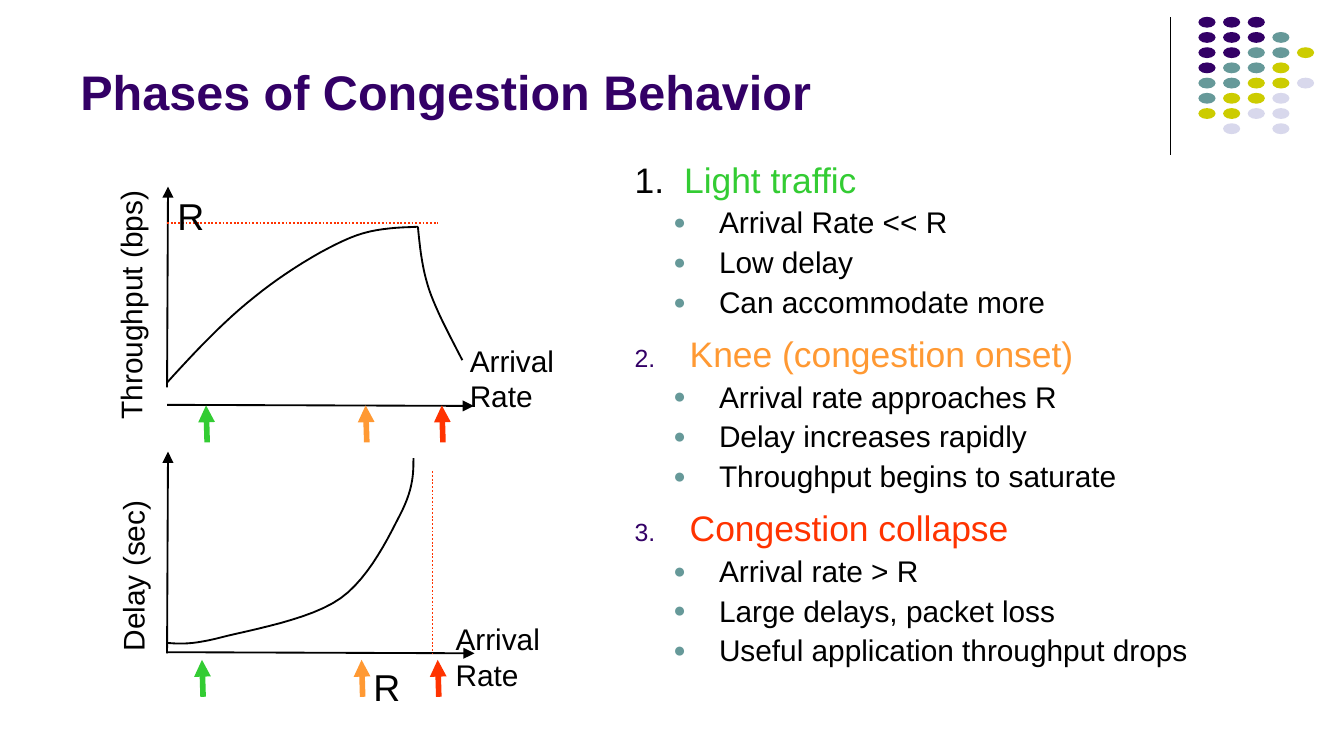
from lxml import etree
from pptx import Presentation, util as u
from pptx.dml.color import RGBColor
from pptx.enum import dml, shapes, text
from pptx.oxml.ns import qn

COLORS = {"ink": "000000", "plum": "330066", "teal": "669999", "lime": "CCCC00",
          "mist": "D8D8EC", "green": "33CC33", "amber": "FF9933", "red": "FF3300"}
DOTS = ["PPP", "PPPT", "PPTTY", "PTTY", "TTYYL", "TYYL", "YYLL", " L L"]
DOT_KEYS = {"P": "plum", "T": "teal", "Y": "lime", "L": "mist"}
PHASES = [
    ("Light traffic", "green", ["Arrival Rate << R", "Low delay", "Can accommodate more"]),
    ("Knee (congestion onset)", "amber", ["Arrival rate approaches R", "Delay increases rapidly",
                                          "Throughput begins to saturate"]),
    ("Congestion collapse", "red", ["Arrival rate > R", "Large delays, packet loss",
                                    "Useful application throughput drops"]),
]
CURVES = [
    [(90, 344.5), (96.5, 345), (103, 345.5), (118.5, 341.5), (134, 337.5), (166.5, 332),
     (182.5, 320.5), (198.5, 309), (209, 286), (215.5, 273.5), (221.5, 261), (221.5, 253), (221.5, 245.5)],
    [(89.5, 205), (104.5, 188.5), (120, 172), (136.5, 159), (152.5, 146), (173, 133.5),
     (187.5, 127.5), (201.5, 121.5), (217, 122), (223.9, 121.5)],
    [(223.9, 121.5), (225, 132.5), (226, 143.5), (230, 155.5), (234, 167), (241, 180), (247.7, 193)],
]


def tint(name):
    """Return the named colour."""
    return RGBColor.from_string(COLORS[name])


def style(par, size, color, bold=False):
    """Set the font of a paragraph."""
    par.font.name, par.font.size, par.font.bold = "Arial", u.Pt(size), bold
    par.font.color.rgb = tint(color)


def add_box(slide, box, words, size, color="ink", bold=False, turn=0, wrap=True):
    """Add a text box with one paragraph and return its frame."""
    shape = slide.shapes.add_textbox(*map(u.Pt, box))
    shape.rotation = turn
    frame = shape.text_frame
    frame.word_wrap = wrap
    par = frame.paragraphs[0]
    par.text = words
    style(par, size, color, bold)
    return frame


def add_line(slide, start, end, color="ink", width=1, head=False, dots=False):
    """Add a straight line, with an arrowhead at its start if asked."""
    line = slide.shapes.add_connector(shapes.MSO_CONNECTOR.STRAIGHT, *map(u.Pt, (*start, *end)))
    line.line.color.rgb, line.line.width = tint(color), u.Pt(width)
    if dots:
        line.line.dash_style = dml.MSO_LINE.ROUND_DOT
    if head:
        etree.SubElement(line.line._get_or_add_ln(), qn("a:headEnd"), type="triangle")
    etree.SubElement(line._element.spPr, qn("a:effectLst"))


def add_curve(slide, knots, steps=12):
    """Draw a chain of cubic curves as a fine open outline."""
    points = [knots[0]]
    for i in range(0, len(knots) - 1, 3):
        for t in (n / steps for n in range(1, steps + 1)):
            parts = ((1 - t) ** 3, 3 * t * (1 - t) ** 2, 3 * t * t * (1 - t), t ** 3)
            points.append(tuple(sum(w * k[axis] for w, k in zip(parts, knots[i:i + 4]))
                                for axis in (0, 1)))
    points = [(u.Pt(x), u.Pt(y)) for x, y in points]
    maker = slide.shapes.build_freeform(*points[0])
    maker.add_line_segments(points[1:], close=False)
    curve = maker.convert_to_shape()
    curve.shadow.inherit = False
    curve.fill.background()
    curve.line.color.rgb, curve.line.width = tint("ink"), u.Pt(1)


def add_dots(slide):
    """Add the grid of dots and the rule beside it."""
    add_line(slide, (627.1, 9.2), (627.1, 83), width=0.75)
    for row, keys in enumerate(DOTS):
        for col, key in enumerate(keys):
            if key in DOT_KEYS:
                box = (642 + 13.2 * col, 9 + 8.15 * row, 9.2, 5.8)
                dot = slide.shapes.add_shape(shapes.MSO_SHAPE.OVAL, *map(u.Pt, box))
                dot.shadow.inherit = False
                dot.fill.solid()
                dot.fill.fore_color.rgb = tint(DOT_KEYS[key])
                dot.line.fill.background()


def add_mark(par, color, tag, **attrs):
    """Add a bullet or number to a paragraph."""
    props = par._p.get_or_add_pPr()
    hue = etree.SubElement(props, qn("a:buClr"))
    etree.SubElement(hue, qn("a:srgbClr"), val=COLORS[color])
    etree.SubElement(props, qn("a:buSzPct"), val="70000")
    etree.SubElement(props, qn("a:buFont"), typeface="Arial")
    etree.SubElement(props, qn(tag), **attrs)


def set_gaps(par, left, hang, before):
    """Set the indents and spacing of a paragraph."""
    props = par._p.get_or_add_pPr()
    props.set("marL", str(u.Pt(left)))
    props.set("indent", str(-u.Pt(hang)))
    par.line_spacing, par.space_before = 0.9, u.Pt(before)


def add_phases(slide):
    """Add the numbered phases with their points."""
    frame = add_box(slide, (332.9, 83.5, 325.4, 285), "1.\t", 19)
    for count, (name, color, items) in enumerate(PHASES, 1):
        if count == 1:
            par = frame.paragraphs[0]
            set_gaps(par, 26.5, 26.5, 0)
            run = par.add_run()
            run.text, run.font.color.rgb = name, tint(color)
        else:
            par = frame.add_paragraph()
            par.text = name
            set_gaps(par, 29.5, 29.5, 9)
            add_mark(par, "plum", "a:buAutoNum", type="arabicPeriod", startAt=str(count))
            style(par, 19, color)
        for item in items:
            par = frame.add_paragraph()
            par.text, par.level = item, 1
            set_gaps(par, 45.2, 24.5, 4)
            add_mark(par, "teal", "a:buChar", char="●")
            style(par, 16, "ink")


def add_graphs(slide):
    """Add both graphs with their axes, curves, limits and phase arrows."""
    for top, foot, base, end in ((100, 207.5, 216.9, 253.8), (242, 350, 349.4, 254.2)):
        add_line(slide, (90, top), (89.5, foot), head=True)
        add_line(slide, (end, base + 0.6), (89.6, base), head=True)
    add_line(slide, (89.5, 119.5), (234.5, 119.5), "red", dots=True)
    add_line(slide, (231.7, 252.5), (231.7, 350), "red", dots=True)
    for knots in CURVES:
        add_curve(slide, knots)
    for shift, top in ((2.2, 217.2), (0, 353.5)):
        for left, color in ((108.2, "green"), (193.7, "amber"), (234.5, "red")):
            add_line(slide, (left + shift, top), (left + shift + 0.6, top + 19.8), color, 3, head=True)
    add_box(slide, (1.5, 150, 137, 26.6), "Throughput (bps)", 16, turn=270, wrap=False)
    add_box(slide, (23.8, 295.2, 95, 26.6), "Delay (sec)", 16, turn=270, wrap=False)
    for left, top in ((193, 352.3), (88, 100)):
        add_box(slide, (left, top, 28.8, 31.5), "R", 20, wrap=False)
    for left, top in ((237, 329.2), (244.6, 179.8)):
        add_box(slide, (left, top, 66, 46), "Arrival Rate", 16)


def main():
    """Build and save the slide."""
    deck = Presentation()
    deck.slide_width, deck.slide_height = u.Pt(720), u.Pt(405)
    slide = deck.slides.add_slide(deck.slide_layouts[6])
    add_dots(slide)
    frame = add_box(slide, (36, 7.2, 594, 60.5), "Phases of Congestion Behavior", 26, "plum", True)
    frame.vertical_anchor = text.MSO_ANCHOR.BOTTOM
    add_phases(slide)
    add_graphs(slide)
    deck.save("out.pptx")


if __name__ == "__main__":
    main()
